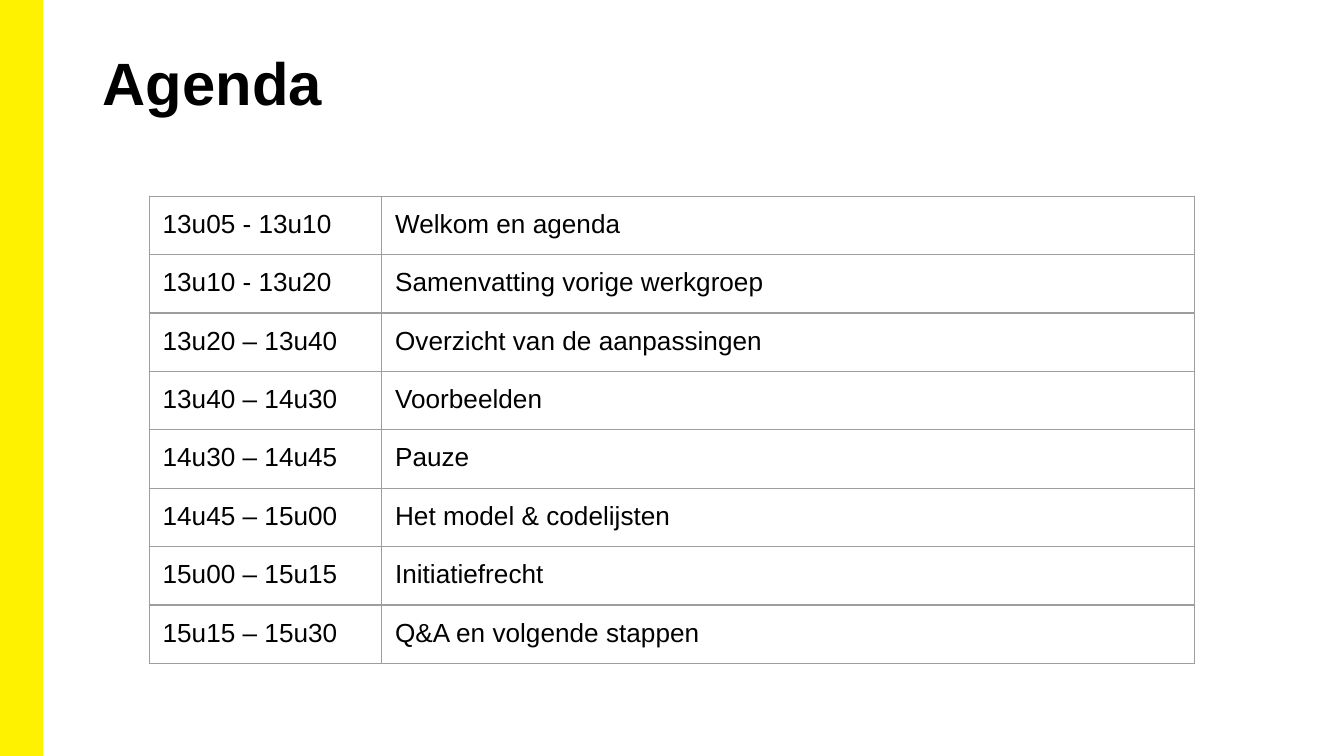
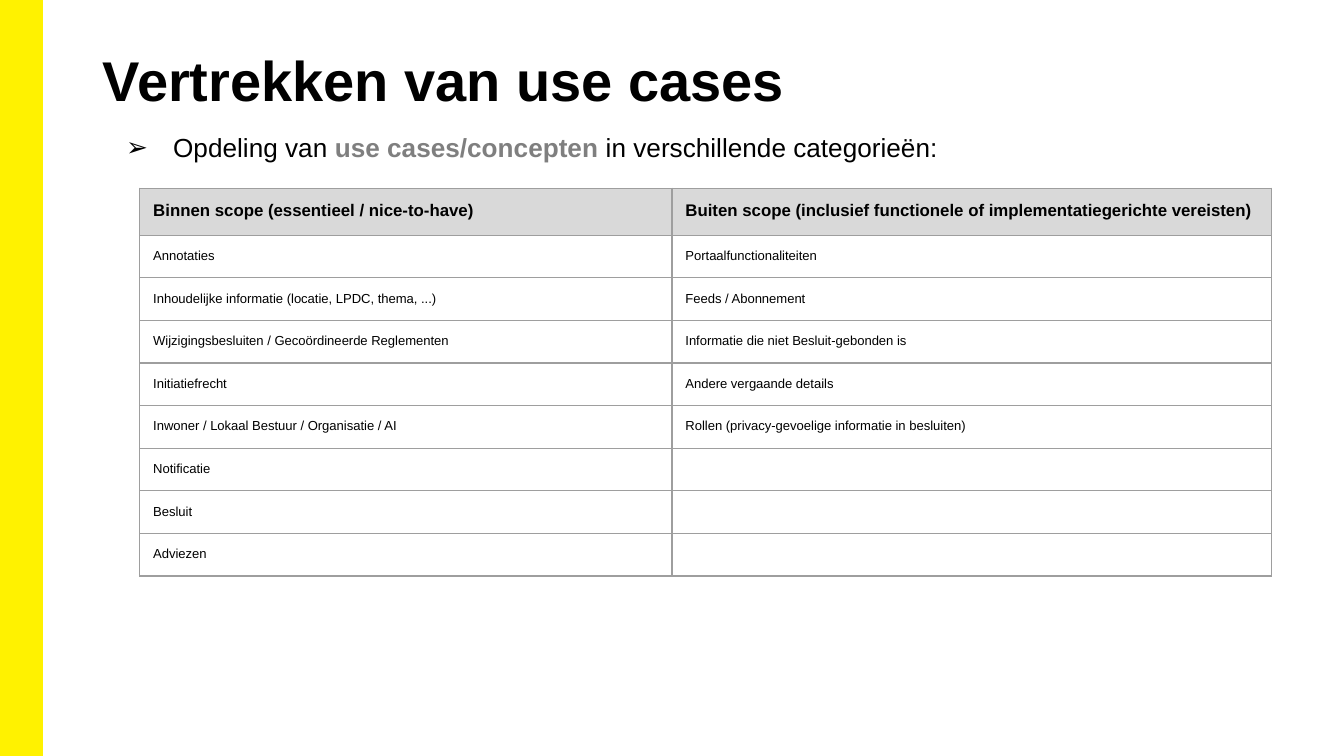
import pptx
import pptx.dml.color
import pptx.enum.shapes
import pptx.enum.text
import pptx.oxml
import pptx.oxml.ns
import pptx.util
from lxml import etree

PX = 4572
WIDE, HIGH = 2000, 1125
FONT = "Arial"
COLORS = {"band": "FFF200", "text": "000000", "accent": "7F7F7F",
          "rule": "9E9E9E", "head": "D9D9D9"}
AGENDA = [
    ("13u05 - 13u10", "Welkom en agenda"),
    ("13u10 - 13u20", "Samenvatting vorige werkgroep"),
    ("13u20 – 13u40", "Overzicht van de aanpassingen"),
    ("13u40 – 14u30", "Voorbeelden"),
    ("14u30 – 14u45", "Pauze"),
    ("14u45 – 15u00", "Het model & codelijsten"),
    ("15u00 – 15u15", "Initiatiefrecht"),
    ("15u15 – 15u30", "Q&A en volgende stappen"),
]
SCOPE = [
    ("Binnen scope (essentieel / nice-to-have)",
     "Buiten scope (inclusief functionele of implementatiegerichte vereisten)"),
    ("Annotaties", "Portaalfunctionaliteiten"),
    ("Inhoudelijke informatie (locatie, LPDC, thema, ...)", "Feeds / Abonnement"),
    ("Wijzigingsbesluiten / Gecoördineerde Reglementen",
     "Informatie die niet Besluit-gebonden is"),
    ("Initiatiefrecht", "Andere vergaande details"),
    ("Inwoner / Lokaal Bestuur / Organisatie / AI",
     "Rollen (privacy-gevoelige informatie in besluiten)"),
    ("Notificatie", ""),
    ("Besluit", ""),
    ("Adviezen", ""),
]


def px(*vals):
    """Turn px lengths into EMU."""
    return [pptx.util.Emu(val * PX) for val in vals]


def rgb(name):
    """Look up a named colour."""
    return pptx.dml.color.RGBColor.from_string(COLORS[name])


def node(parent, tag, **attrs):
    """Append a drawing element to its parent."""
    return etree.SubElement(parent, pptx.oxml.ns.qn("a:" + tag), attrs)


def write(para, text, size=14, bold=False, color="text"):
    """Add formatted text to a paragraph."""
    if not text:
        node(para._p, "endParaRPr", sz=str(size * 100))
        return
    run = para.add_run()
    run.text = text
    font = run.font
    font.name, font.size, font.bold = FONT, pptx.util.Pt(size), bold
    font.color.rgb = rgb(color)


def inset(item, side, end):
    """Set the side and end margins of a text frame or cell."""
    item.margin_left, item.margin_right = px(side, side)
    item.margin_top, item.margin_bottom = px(end, end)


def frame(slide, box, side, end):
    """Add a wrapping text box and return its frame."""
    area = slide.shapes.add_textbox(*px(*box)).text_frame
    area.word_wrap = True
    inset(area, side, end)
    return area


def base(deck, title, box, size):
    """Add a slide with the side band and a title."""
    slide = deck.slides.add_slide(deck.slide_layouts[6])
    kind = pptx.enum.shapes.MSO_SHAPE.RECTANGLE
    band = slide.shapes.add_shape(kind, *px(0, 0, 62, HIGH))
    band.shadow.inherit = False
    band.fill.solid()
    band.fill.fore_color.rgb = rgb("band")
    band.line.color.rgb = rgb("band")
    band.line.width = pptx.util.Pt(1)
    area = frame(slide, box, 15, 8)
    write(area.paragraphs[0], title, size=size, bold=True)
    return slide


def border(cell):
    """Draw thin rules on all sides of a cell."""
    props = cell._tc.get_or_add_tcPr()
    for side in ("lnL", "lnR", "lnT", "lnB"):
        line = node(props, side, w=str(pptx.util.Pt(0.75)))
        node(node(line, "solidFill"), "srgbClr", val=COLORS["rule"])


def grid(slide, box, cols, highs, rows, size, head=None):
    """Add a ruled table, with a shaded first row when head is a size."""
    shape = slide.shapes.add_table(len(rows), len(cols), *px(*box))
    table = shape.table
    table.first_row = bool(head)
    table.horz_banding = False
    for col, wide in zip(table.columns, px(*cols)):
        col.width = wide
    for row, high, texts in zip(table.rows, px(*highs), rows):
        top = bool(head) and texts is rows[0]
        row.height = high
        for cell, text in zip(row.cells, texts):
            inset(cell, 20, 20)
            border(cell)
            if top:
                cell.fill.solid()
                cell.fill.fore_color.rgb = rgb("head")
            else:
                cell.fill.background()
            write(cell.text_frame.paragraphs[0], text,
                  size=head if top else size, bold=top)
    shape.height = px(box[3])[0]


def point(slide, box, parts):
    """Add one arrow bullet made of formatted parts."""
    area = frame(slide, box, 20, 20)
    area.auto_size = pptx.enum.text.MSO_AUTO_SIZE.SHAPE_TO_FIT_TEXT
    para = area.paragraphs[0]
    props = para._p.get_or_add_pPr()
    props.set("marL", str(100 * PX))
    props.set("indent", str(-70 * PX))
    node(node(props, "buClr"), "srgbClr", val=COLORS["text"])
    node(props, "buFont", typeface=FONT)
    node(props, "buChar", char="➢")
    for text, style in parts:
        write(para, text, **style)


def agenda(deck):
    """Build the agenda slide."""
    slide = base(deck, "Agenda", (138, 60, 1724, 162), 32)
    highs = [87, 87, 83, 87, 87, 87, 87, 79]
    grid(slide, (222, 292, 1556, 696), (346, 1210), highs, AGENDA, 14)


def scope(deck):
    """Build the use case slide."""
    slide = base(deck, "Vertrekken van use cases", (138, 60, 1794, 120), 30)
    point(slide, (138, 176, 1754, 88), [
        ("Opdeling van ", {}),
        ("use cases/concepten", {"bold": True, "color": "accent"}),
        (" in verschillende categorieën:", {}),
    ])
    highs = [54] + [50] * (len(SCOPE) - 1)
    grid(slide, (208, 280, 1684, 576), (792, 892), highs, SCOPE, 7, head=9)


def main():
    """Build and save the deck."""
    deck = pptx.Presentation()
    deck.slide_width, deck.slide_height = px(WIDE, HIGH)
    agenda(deck)
    scope(deck)
    deck.save("out.pptx")


if __name__ == "__main__":
    main()
